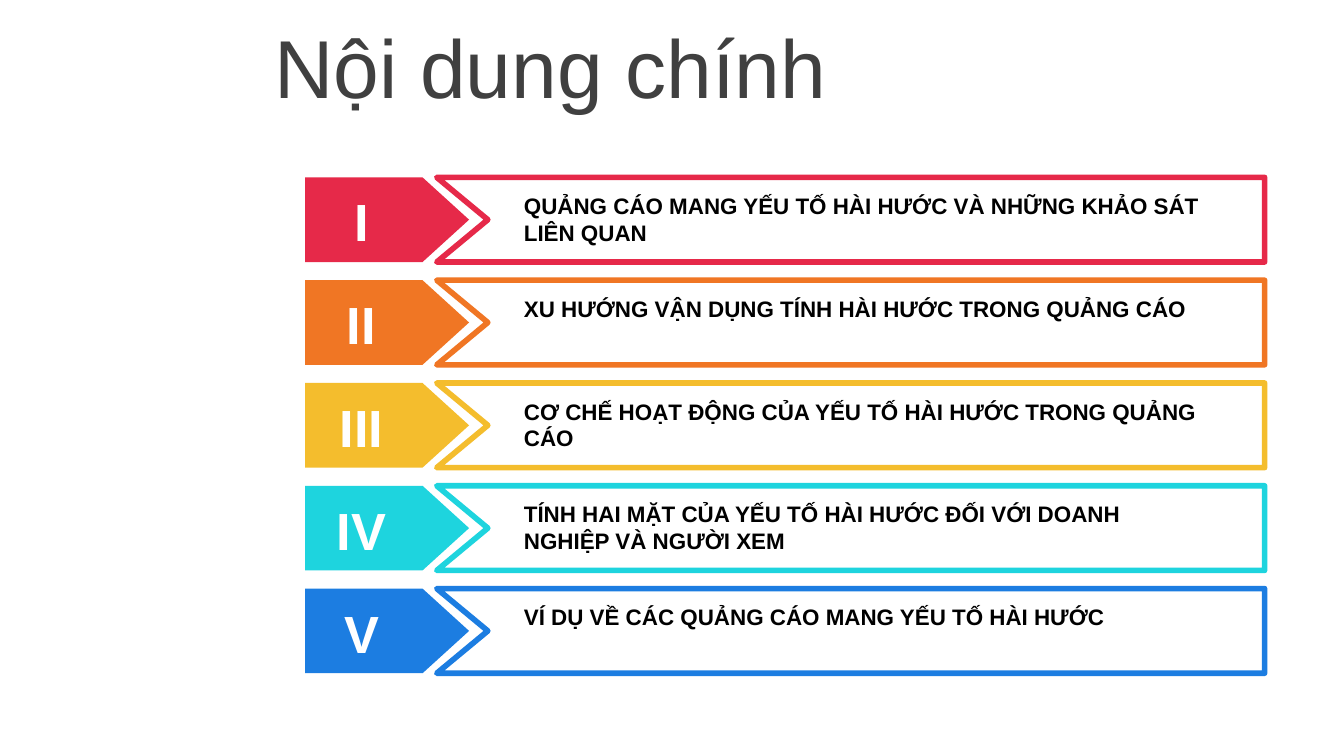
from pptx import Presentation
from pptx.dml.color import RGBColor
from pptx.enum.shapes import MSO_SHAPE
from pptx.enum.text import MSO_ANCHOR, MSO_AUTO_SIZE, PP_ALIGN
from pptx.oxml.ns import qn
from pptx.util import Inches, Pt
from lxml import etree

PENTAGON = MSO_SHAPE.PENTAGON
TOP, MIDDLE = MSO_ANCHOR.TOP, MSO_ANCHOR.MIDDLE
LEFT, CENTER = PP_ALIGN.LEFT, PP_ALIGN.CENTER
GROW, FIXED = MSO_AUTO_SIZE.SHAPE_TO_FIT_TEXT, MSO_AUTO_SIZE.NONE

TITLE = "Nội dung chính"
# numeral, heading, lines the heading takes, colour
SECTIONS = [
    ("I", "QUẢNG CÁO MANG YẾU TỐ HÀI HƯỚC VÀ NHỮNG KHẢO SÁT LIÊN QUAN", 2, "E62949"),
    ("II", "XU HƯỚNG VẬN DỤNG TÍNH HÀI HƯỚC TRONG QUẢNG CÁO", 1, "F07624"),
    ("III", "CƠ CHẾ HOẠT ĐỘNG CỦA YẾU TỐ HÀI HƯỚC TRONG QUẢNG CÁO", 2, "F4BD2D"),
    ("IV", "TÍNH HAI MẶT CỦA YẾU TỐ HÀI HƯỚC ĐỐI VỚI DOANH NGHIỆP VÀ NGƯỜI XEM", 2, "1ED4DE"),
    ("V", "VÍ DỤ VỀ CÁC QUẢNG CÁO MANG YẾU TỐ HÀI HƯỚC", 1, "1C7DE1"),
]

THEME = {
    "font": "Arial", "title": "404040", "light": "FFFFFF", "dark": "000000",
    "title_size": 44, "numeral_size": 28, "heading_size": 12, "outline": 3,
}

SLIDE_WIDTH = 10
SLIDE_HEIGHT = SLIDE_WIDTH * 9 / 16
FIRST_TOP, LAST_TOP, ROW_HEIGHT = 1.32, 4.38, 0.63
PITCH = (LAST_TOP - FIRST_TOP) / (len(SECTIONS) - 1)
TAG_LEFT, TAG_WIDTH, TAG_POINT = 2.27, 1.22, 0.55
FRAME_LEFT, FRAME_RIGHT, FRAME_NOTCH = 3.25, 9.41, 3.63


def rgb(color):
    return RGBColor.from_string(color)


def write(shape, text, *, size, color, bold=False, align=LEFT, anchor=TOP,
          insets=(0.1, 0.05), indent=0, fit=GROW):
    frame = shape.text_frame
    frame.word_wrap = True
    frame.auto_size = fit
    frame.vertical_anchor = anchor
    side, edge = insets
    frame.margin_left, frame.margin_right = Inches(side + indent), Inches(side)
    frame.margin_top = frame.margin_bottom = Inches(edge)
    paragraph = frame.paragraphs[0]
    paragraph.text = text
    paragraph.alignment = align
    font = paragraph.runs[0].font
    font.name, font.size, font.bold = THEME["font"], Pt(size), bold
    font.color.rgb = rgb(color)


def add_tag(slide, top, color):
    tag = slide.shapes.add_shape(PENTAGON, Inches(TAG_LEFT), Inches(top),
                                 Inches(TAG_WIDTH), Inches(ROW_HEIGHT))
    tag.adjustments[0] = TAG_POINT
    tag.shadow.inherit = False
    tag.fill.solid()
    tag.fill.fore_color.rgb = rgb(color)
    tag.line.fill.background()


def add_notched_frame(slide, top, color):
    bottom = top + ROW_HEIGHT
    corners = [(FRAME_RIGHT, top), (FRAME_RIGHT, bottom), (FRAME_LEFT, bottom),
               (FRAME_NOTCH, top + ROW_HEIGHT / 2)]
    builder = slide.shapes.build_freeform(Inches(FRAME_LEFT), Inches(top))
    builder.add_line_segments([(Inches(x), Inches(y)) for x, y in corners], close=True)
    frame = builder.convert_to_shape()
    frame.shadow.inherit = False
    frame.fill.solid()
    frame.fill.fore_color.rgb = rgb(THEME["light"])
    frame.line.color.rgb = rgb(color)
    frame.line.width = Pt(THEME["outline"])
    outline = frame.element.spPr.find(qn("a:ln"))
    etree.SubElement(outline, qn("a:round"))


def add_section(slide, top, numeral, heading, lines, color):
    add_tag(slide, top, color)
    add_notched_frame(slide, top, color)
    numeral_box = slide.shapes.add_textbox(Inches(2.36), Inches(top + 0.09),
                                           Inches(0.66), Inches(0.47))
    write(numeral_box, numeral, size=THEME["numeral_size"], color=THEME["light"],
          bold=True, align=CENTER, anchor=MIDDLE, insets=(0.1, 0))
    heading_box = slide.shapes.add_textbox(Inches(3.8), Inches(top + 0.06),
                                           Inches(5.3), Inches(0.1 + 0.2 * lines))
    write(heading_box, heading, size=THEME["heading_size"], color=THEME["dark"], bold=True)


def main():
    deck = Presentation()
    deck.slide_width, deck.slide_height = Inches(SLIDE_WIDTH), Inches(SLIDE_HEIGHT)
    slide = deck.slides.add_slide(deck.slide_layouts[5])

    title = slide.shapes.title
    title.left, title.top = Inches(1.77), Inches(0)
    title.width, title.height = Inches(8.23), Inches(0.97)
    write(title, TITLE, size=THEME["title_size"], color=THEME["title"],
          anchor=MIDDLE, indent=0.17, fit=FIXED)

    for row, section in enumerate(SECTIONS):
        add_section(slide, FIRST_TOP + row * PITCH, *section)
    deck.save("out.pptx")


if __name__ == "__main__":
    main()
